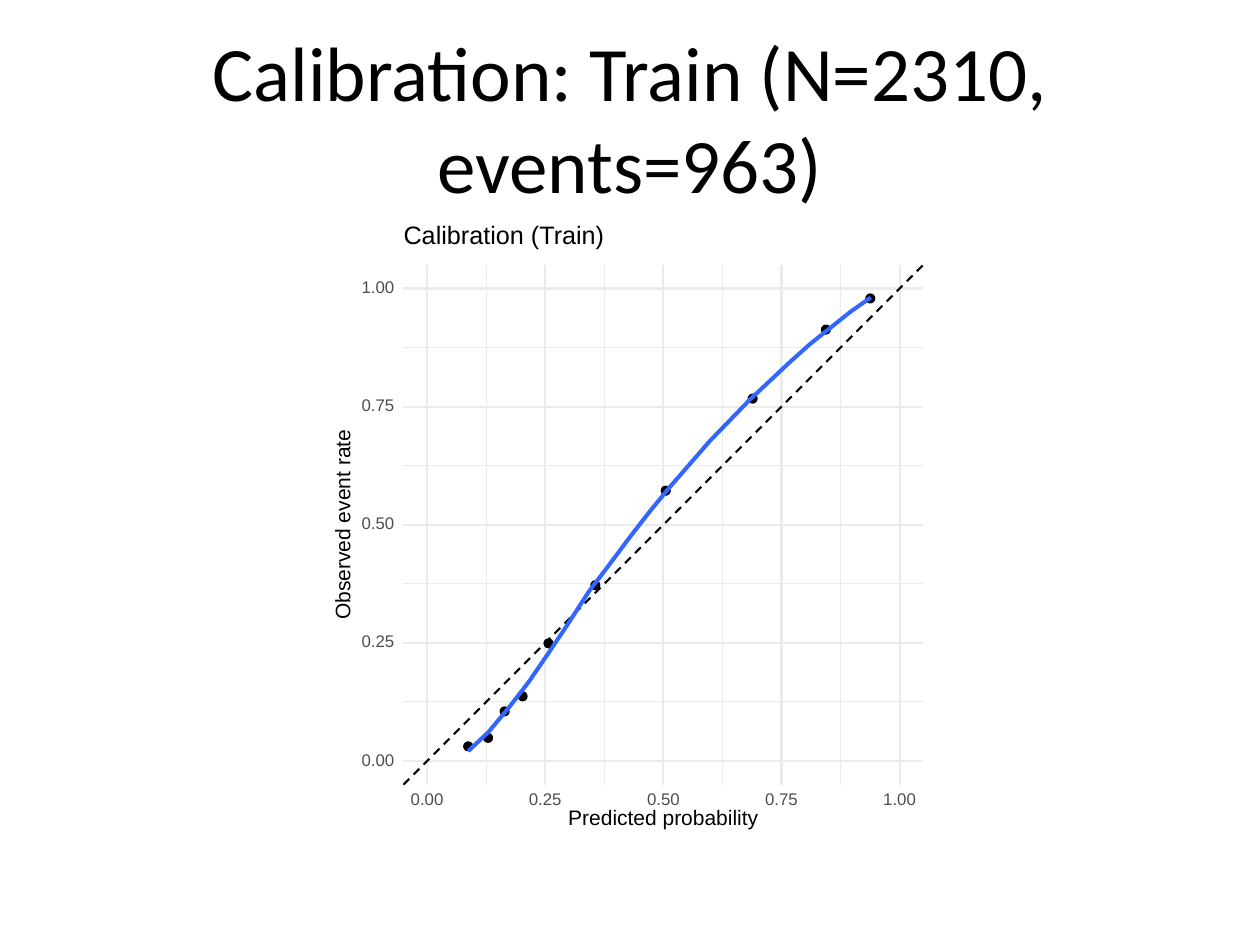
import pptx
import pptx.util
import pptx.dml.color
import pptx.enum.dml
import pptx.enum.shapes
import pptx.enum.text
import pptx.oxml.ns
import lxml.etree

TITLE = "Calibration: Train (N=2310, events=963)"
PLOT_TITLE = "Calibration (Train)"
X_TITLE = "Predicted probability"
Y_TITLE = "Observed event rate"
TICKS = [0, 0.25, 0.5, 0.75, 1]
MINOR_TICKS = [0.125, 0.375, 0.625, 0.875]
AXIS_RANGE = (-0.05, 1.05)
BINS = [
    (0.087, 0.031), (0.129, 0.049), (0.164, 0.105), (0.202, 0.137), (0.257, 0.249),
    (0.356, 0.372), (0.505, 0.572), (0.689, 0.767), (0.844, 0.913), (0.938, 0.979),
]
FIT_RANGE = (0.087, 0.939)
FIT_RATES = [
    0.021, 0.061, 0.112, 0.167, 0.229, 0.293, 0.359, 0.415, 0.472, 0.527, 0.579,
    0.628, 0.677, 0.721, 0.765, 0.805, 0.845, 0.883, 0.917, 0.951, 0.981,
]
COLORS = {"paper": "FFFFFF", "grid": "EBEBEB", "ink": "000000", "tick": "4D4D4D", "fit": "3366FF"}

ORIGIN_X, ORIGIN_Y, UNIT = 3.39, 6.04, 3.75
DOT = 0.07

inches = pptx.util.Inches
points = pptx.util.Pt


def color(name):
    return pptx.dml.color.RGBColor.from_string(COLORS[name])


def place(x, y):
    return ORIGIN_X + x * UNIT, ORIGIN_Y - y * UNIT


def style_line(shape, name, width):
    shape.line.color.rgb = color(name)
    shape.line.width = points(width)


def add_line(shapes, start, end, name, width):
    ends = [inches(value) for value in place(*start) + place(*end)]
    line = shapes.add_connector(pptx.enum.shapes.MSO_CONNECTOR.STRAIGHT, *ends)
    style_line(line, name, width)
    lxml.etree.SubElement(line._element.spPr, pptx.oxml.ns.qn("a:effectLst"))
    return line


def add_preset(shapes, kind, left, top, width, height, fill, line_width=0):
    shape = shapes.add_shape(kind, inches(left), inches(top), inches(width), inches(height))
    shape.shadow.inherit = False
    shape.fill.solid()
    shape.fill.fore_color.rgb = color(fill)
    if line_width:
        style_line(shape, fill, line_width)
    else:
        shape.line.fill.background()


def add_label(shapes, text, center_x, center_y, width, height, size, name, rotation=0):
    box = shapes.add_textbox(inches(center_x - width / 2), inches(center_y - height / 2),
                             inches(width), inches(height))
    box.rotation = rotation
    frame = box.text_frame
    frame.margin_left = frame.margin_right = frame.margin_top = frame.margin_bottom = 0
    frame.word_wrap = False
    frame.vertical_anchor = pptx.enum.text.MSO_ANCHOR.MIDDLE
    paragraph = frame.paragraphs[0]
    paragraph.text = text
    paragraph.alignment = pptx.enum.text.PP_ALIGN.CENTER
    paragraph.line_spacing = points(size)
    paragraph.font.size = points(size)
    paragraph.font.name = "Arial"
    paragraph.font.color.rgb = color(name)


def add_title(slide):
    title = slide.shapes.title
    title.left, title.top, title.width, title.height = map(inches, (0.5, 0.3, 9, 1.25))
    title.text_frame.vertical_anchor = pptx.enum.text.MSO_ANCHOR.MIDDLE
    paragraph = title.text_frame.paragraphs[0]
    paragraph.text = TITLE
    paragraph.alignment = pptx.enum.text.PP_ALIGN.CENTER
    paragraph.font.size = points(44)
    paragraph.font.name = "Calibri"
    paragraph.font.color.rgb = color("ink")


def add_plot(shapes):
    low, high = AXIS_RANGE
    rectangle = pptx.enum.shapes.MSO_SHAPE.RECTANGLE
    add_preset(shapes, rectangle, 0.5, 1.75, 9, 4.95, "paper", 0.75)
    add_preset(shapes, rectangle, 2.59, 1.75, 4.82, 4.95, "paper")

    for values, width in ((MINOR_TICKS, 0.58), (TICKS, 1.16)):
        for value in values:
            add_line(shapes, (low, value), (high, value), "grid", width)
        for value in values:
            add_line(shapes, (value, low), (value, high), "grid", width)
    diagonal = add_line(shapes, (low, low), (high, high), "ink", 1.16)
    diagonal.line.dash_style = pptx.enum.dml.MSO_LINE.DASH

    for predicted, observed in BINS:
        x, y = place(predicted, observed)
        add_preset(shapes, pptx.enum.shapes.MSO_SHAPE.OVAL,
                   x - DOT / 2, y - DOT / 2, DOT, DOT, "ink", 0.77)

    first, last = FIT_RANGE
    step = (last - first) / (len(FIT_RATES) - 1)
    vertices = [tuple(map(inches, place(first + index * step, rate)))
                for index, rate in enumerate(FIT_RATES)]
    builder = shapes.build_freeform(*vertices[0])
    builder.add_line_segments(vertices[1:], close=False)
    curve = builder.convert_to_shape()
    curve.shadow.inherit = False
    curve.fill.background()
    style_line(curve, "fit", 2.33)

    for value in TICKS:
        x, y = place(value, value)
        add_label(shapes, f"{value:.2f}", 3, y, 0.26, 0.1, 9.6, "tick")
        add_label(shapes, f"{value:.2f}", x, 6.35, 0.26, 0.1, 9.6, "tick")
    middle_x, middle_y = place(0.5, 0.5)
    add_label(shapes, X_TITLE, middle_x, 6.5, 1.51, 0.15, 12, "ink")
    add_label(shapes, Y_TITLE, 2.73, middle_y, 1.51, 0.12, 12, "ink", 270)
    add_label(shapes, PLOT_TITLE, 4, 1.88, 1.6, 0.19, 14.4, "ink")


def main():
    presentation = pptx.Presentation()
    presentation.slide_width = inches(10)
    presentation.slide_height = inches(7.5)
    slide = presentation.slides.add_slide(presentation.slide_layouts.get_by_name("Title Only"))
    add_title(slide)
    add_plot(slide.shapes.add_group_shape().shapes)
    presentation.save("out.pptx")


if __name__ == "__main__":
    main()
